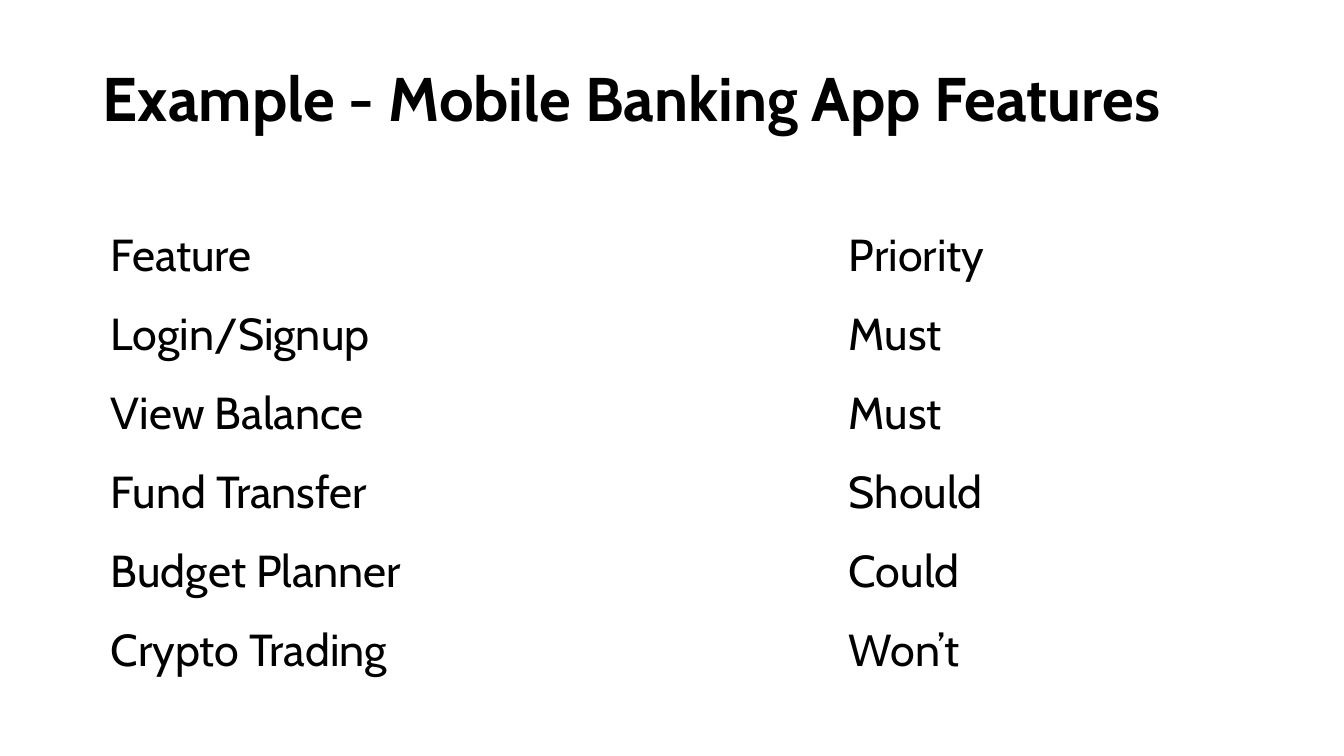
from pptx import Presentation
from pptx.dml.color import RGBColor
from pptx.enum.text import MSO_ANCHOR, PP_ALIGN
from pptx.util import Inches, Pt

COLORS = {"background": "FFFFFF", "text": "000000"}
FONT = "Cabin"
LEFT = 0.92
COLUMN_WIDTHS = [7.32, 4.18]
TABLE_TOP = 2.14
TABLE_HEIGHT = 4.71
FEATURES = [
    ("Feature", "Priority"),
    ("Login/Signup", "Must"),
    ("View Balance", "Must"),
    ("Fund Transfer", "Should"),
    ("Budget Planner", "Could"),
    ("Crypto Trading", "Won’t"),
]


def format_text(paragraph, size, bold):
    paragraph.alignment = PP_ALIGN.LEFT
    for run in paragraph.runs:
        run.font.name = FONT
        run.font.size = Pt(size)
        run.font.bold = bold
        run.font.color.rgb = RGBColor.from_string(COLORS["text"])


def add_title(slide, text):
    title = slide.shapes.title
    title.left, title.top = Inches(LEFT), Inches(0.28)
    title.width, title.height = Inches(11.49), Inches(1.11)
    text_frame = title.text_frame
    text_frame.text = text
    text_frame.word_wrap = True
    text_frame.vertical_anchor = MSO_ANCHOR.BOTTOM
    paragraph = text_frame.paragraphs[0]
    paragraph.line_spacing = 0.9
    format_text(paragraph, 44, True)


def fill_cell(cell, text):
    cell.fill.background()
    cell.vertical_anchor = MSO_ANCHOR.MIDDLE
    cell.margin_left = cell.margin_right = Inches(0.18)
    cell.margin_top = cell.margin_bottom = Inches(0.09)
    cell.text_frame.text = text
    format_text(cell.text_frame.paragraphs[0], 32, False)


def add_feature_table(slide):
    table = slide.shapes.add_table(
        len(FEATURES), len(COLUMN_WIDTHS),
        Inches(LEFT), Inches(TABLE_TOP),
        Inches(sum(COLUMN_WIDTHS)), Inches(TABLE_HEIGHT),
    ).table
    table.first_row = False
    table.horz_banding = False
    style_id = table._tbl.tblPr.find("{*}tableStyleId")
    style_id.text = "{2D5ABB26-0587-4C30-8999-92F81FD0307C}"
    for column, width in zip(table.columns, COLUMN_WIDTHS):
        column.width = Inches(width)
    for row, texts in zip(table.rows, FEATURES):
        for cell, text in zip(row.cells, texts):
            fill_cell(cell, text)


def main():
    presentation = Presentation()
    presentation.slide_width = Inches(13.33)
    presentation.slide_height = Inches(7.5)
    slide = presentation.slides.add_slide(presentation.slide_layouts[5])
    slide.background.fill.solid()
    slide.background.fill.fore_color.rgb = RGBColor.from_string(COLORS["background"])
    add_title(slide, "Example - Mobile Banking App Features")
    add_feature_table(slide)
    presentation.save("out.pptx")


if __name__ == "__main__":
    main()
